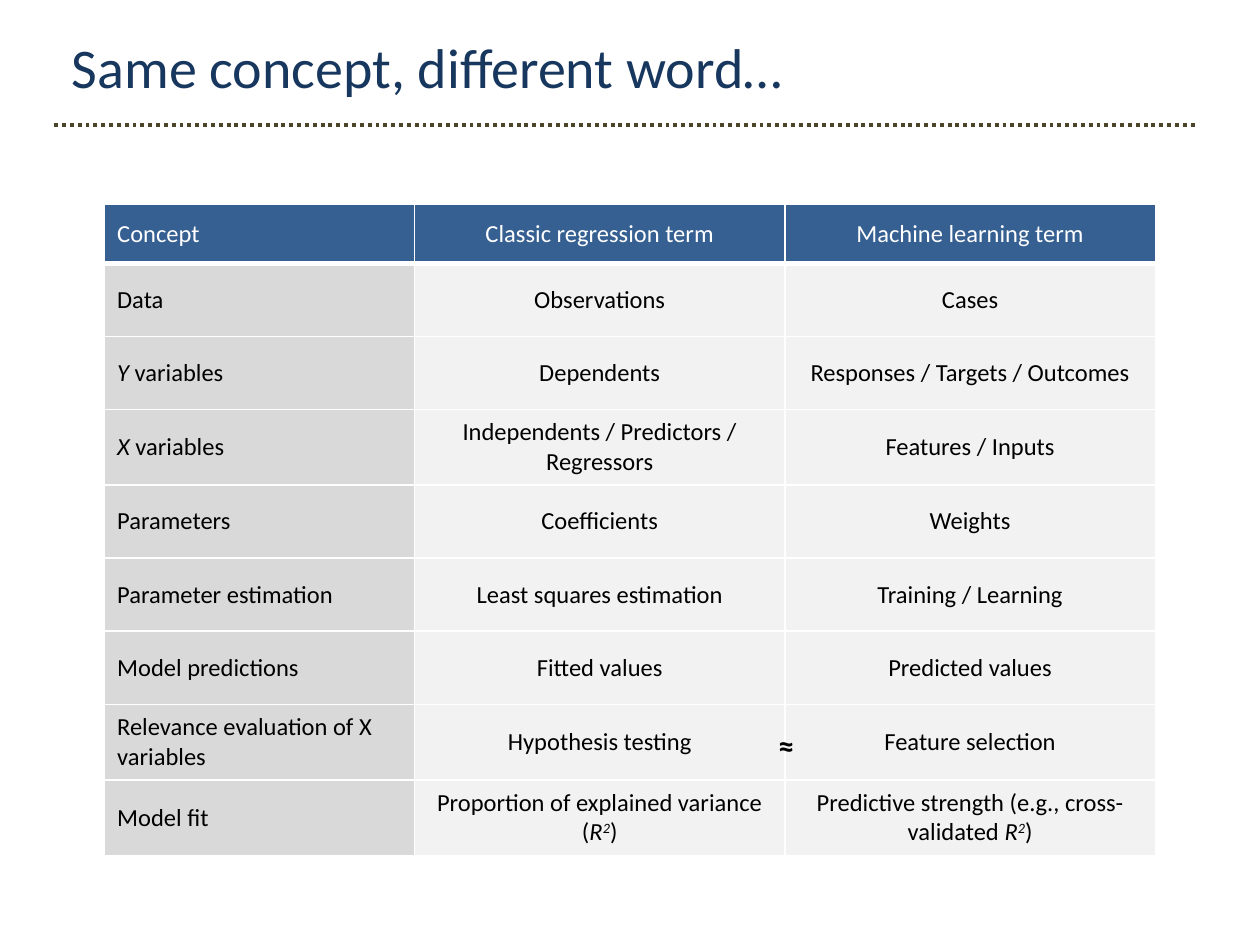
from lxml.etree import SubElement
from pptx import Presentation
from pptx.dml.color import RGBColor
from pptx.enum.dml import MSO_LINE
from pptx.enum.shapes import MSO_CONNECTOR
from pptx.enum.text import MSO_ANCHOR as ANCHOR, MSO_AUTO_SIZE as FIT, PP_ALIGN as ALIGN
from pptx.oxml.ns import qn
from pptx.util import Inches, Pt

NAVY = RGBColor(0x17, 0x37, 0x5E)
BLUE = RGBColor(0x37, 0x60, 0x92)
OLIVE = RGBColor(0x4A, 0x45, 0x2A)
GREY = RGBColor(0xD9, 0xD9, 0xD9)
PALE = RGBColor(0xF2, 0xF2, 0xF2)
WHITE = RGBColor(0xFF, 0xFF, 0xFF)
BLACK = RGBColor(0, 0, 0)
FONT = "Calibri"

TITLE = "Same concept, different word…"
# A cell is a string, or a list of (text, style) runs
R2 = [("R", "italic"), ("2", "super"), (")", "")]
ROWS = [
    ("Concept", "Classic regression term", "Machine learning term"),
    ("Data", "Observations", "Cases"),
    ([("Y", "italic"), (" variables", "")], "Dependents", "Responses / Targets / Outcomes"),
    ([("X", "italic"), (" variables", "")], "Independents / Predictors / Regressors",
     "Features / Inputs"),
    ("Parameters", "Coefficients", "Weights"),
    ("Parameter estimation", "Least squares estimation", "Training / Learning"),
    ("Model predictions", "Fitted values", "Predicted values"),
    ("Relevance evaluation of X variables", "Hypothesis testing", "Feature selection"),
    ("Model fit", [("Proportion of explained variance (", "")] + R2,
     [("Predictive strength (e.g., cross-validated ", "")] + R2),
]
WIDTHS = [2.46, 2.94, 2.94]
HEAD, LOW, TALL = 0.47, 0.58, 0.6
TALL_ROWS = (3, 7, 8)


def add_run(para, text, size, color, style=""):
    run = para.add_run()
    run.text = text
    font = run.font
    font.name, font.size, font.color.rgb = FONT, Pt(size), color
    if style in ("italic", "super"):
        font.italic = True
    if style == "super":
        font._element.set("baseline", "30000")
    if style == "bold":
        font.bold = True


def set_borders(cell, bottom):
    """Draw white cell edges, 1 pt wide but for the bottom one."""
    props = cell._tc.get_or_add_tcPr()
    for i, (side, width) in enumerate([("L", 1), ("R", 1), ("T", 1), ("B", bottom)]):
        edge = SubElement(props, qn(f"a:ln{side}"), w=str(Pt(width)))
        fill = SubElement(edge, qn("a:solidFill"))
        SubElement(fill, qn("a:srgbClr"), val=str(WHITE))
        props.insert(i, edge)


def fill_cell(cell, content, row, col):
    head = row == 0
    cell.fill.solid()
    cell.fill.fore_color.rgb = BLUE if head else PALE if col else GREY
    cell.vertical_anchor = ANCHOR.MIDDLE
    set_borders(cell, 3 if row == 0 else 1)
    para = cell.text_frame.paragraphs[0]
    para.alignment = ALIGN.CENTER if col else ALIGN.LEFT
    runs = [(content, "")] if isinstance(content, str) else content
    for text, style in runs:
        add_run(para, text, 14, WHITE if head else BLACK, style)


def add_terms(slide):
    heights = [HEAD] + [TALL if i in TALL_ROWS else LOW for i in range(1, len(ROWS))]
    table = slide.shapes.add_table(
        len(ROWS), len(WIDTHS), Inches(0.83), Inches(1.62),
        Inches(sum(WIDTHS)), Inches(sum(heights))).table
    table.horz_banding = False
    for col, width in zip(table.columns, WIDTHS):
        col.width = Inches(width)
    for row, height in zip(table.rows, heights):
        row.height = Inches(height)
    for r, row in enumerate(ROWS):
        for c, content in enumerate(row):
            fill_cell(table.cell(r, c), content, r, c)


def main():
    deck = Presentation()
    deck.slide_width, deck.slide_height = Inches(10), Inches(7.5)
    slide = deck.slides.add_slide(deck.slide_layouts[5])

    title = slide.shapes.title
    title.left, title.top = Inches(0.47), Inches(0.21)
    title.width, title.height = Inches(8.79), Inches(0.64)
    frame = title.text_frame
    frame.vertical_anchor = ANCHOR.TOP
    frame.auto_size = FIT.SHAPE_TO_FIT_TEXT
    frame.paragraphs[0].alignment = ALIGN.LEFT
    add_run(frame.paragraphs[0], TITLE, 32, NAVY)

    rule = slide.shapes.add_connector(
        MSO_CONNECTOR.STRAIGHT, Inches(0.43), Inches(0.99), Inches(9.49), Inches(0.99))
    rule.line.color.rgb = OLIVE
    rule.line.width = Pt(2.25)
    rule.line.dash_style = MSO_LINE.ROUND_DOT
    SubElement(rule._element.spPr, qn("a:effectLst"))

    add_terms(slide)

    sign = slide.shapes.add_textbox(Inches(6.08), Inches(5.71), Inches(0.32), Inches(0.4))
    sign.text_frame.word_wrap = False
    sign.text_frame.auto_size = FIT.SHAPE_TO_FIT_TEXT
    add_run(sign.text_frame.paragraphs[0], "≈", 18, BLACK, "bold")

    deck.save("out.pptx")


if __name__ == "__main__":
    main()
